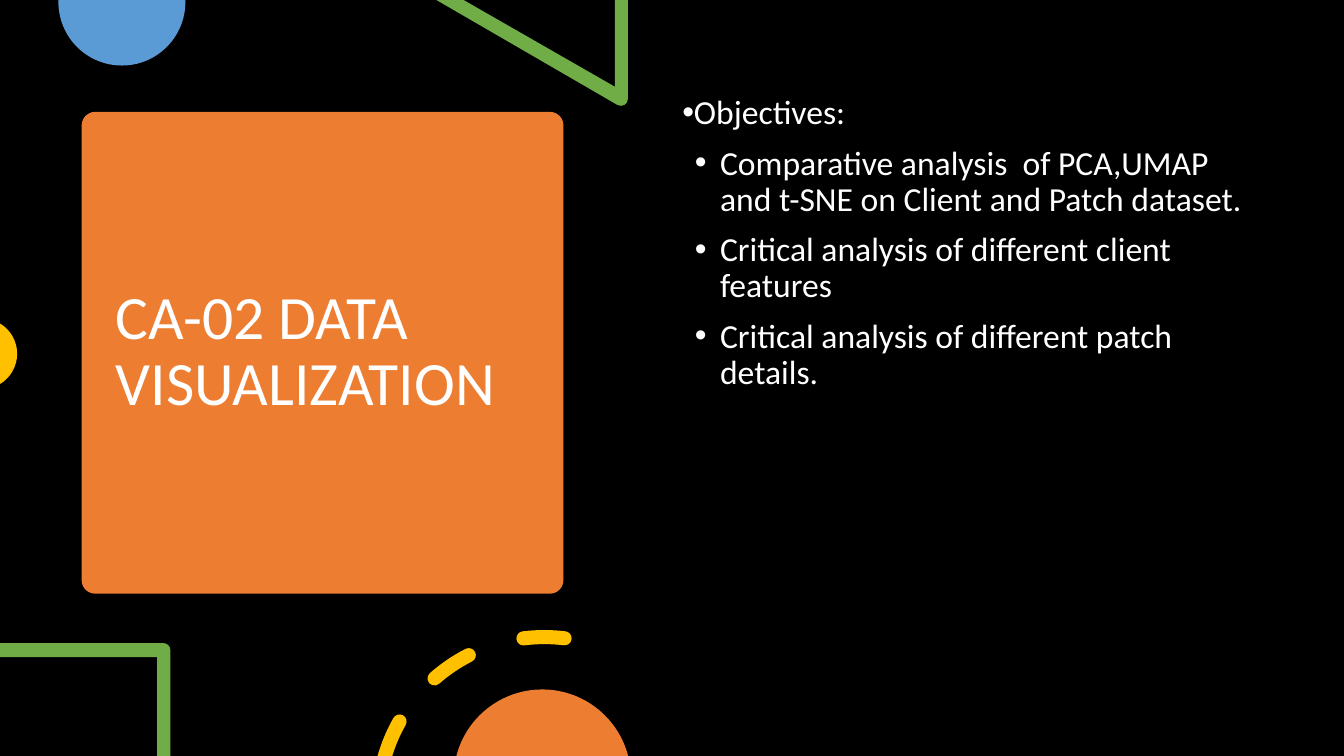
from math import ceil, cos, radians, sin, tan

from lxml import etree
from pptx import Presentation
from pptx.dml.color import RGBColor
from pptx.enum.shapes import MSO_SHAPE
from pptx.enum.text import MSO_ANCHOR
from pptx.oxml.ns import qn
from pptx.util import Inches, Pt

ROUNDED = MSO_SHAPE.ROUNDED_RECTANGLE
MIDDLE = MSO_ANCHOR.MIDDLE

THEME = {
    "font": "Calibri",
    "title_size": Pt(44),
    "body_size": Pt(24),
    "background": RGBColor.from_string("000000"),
    "text": RGBColor.from_string("FFFFFF"),
    "orange": RGBColor.from_string("ED7D31"),
    "blue": RGBColor.from_string("5B9BD5"),
    "green": RGBColor.from_string("70AD47"),
    "yellow": RGBColor.from_string("FFC000"),
}
WIDTH, HEIGHT = 40 / 3, 7.5

prs = Presentation()
prs.slide_width, prs.slide_height = Inches(WIDTH), Inches(HEIGHT)
slide = prs.slides.add_slide(prs.slide_layouts[6])
slide.background.fill.solid()
slide.background.fill.fore_color.rgb = THEME["background"]


def arc(center, radius, start, end):
    """Start point and Bezier segments of an arc, in degrees clockwise from the right."""
    steps = ceil(abs(end - start) / 90)
    sweep = radians(end - start) / steps
    pull = radius * 4 / 3 * tan(sweep / 4)
    segments = [[(center[0] + radius * cos(radians(start)), center[1] + radius * sin(radians(start)))]]
    for step in range(steps):
        a = radians(start) + step * sweep
        b = a + sweep
        x, y = segments[-1][-1]
        end_x, end_y = center[0] + radius * cos(b), center[1] + radius * sin(b)
        segments.append([(x - pull * sin(a), y + pull * cos(a)),
                         (end_x + pull * sin(b), end_y - pull * cos(b)), (end_x, end_y)])
    return segments


def add_outline(color, *contours):
    """Fill closed contours in inches; a segment has one point (line) or three (curve)."""
    contours = [[[(Inches(x), Inches(y)) for x, y in segment] for segment in contour]
                for contour in contours]
    builder = slide.shapes.build_freeform(*contours[0][0][0])
    for number, contour in enumerate(contours):
        if number:
            builder.move_to(*contour[0][0])
        builder.add_line_segments([segment[-1] for segment in contour[1:]], close=True)
    shape = builder.convert_to_shape()
    segments = [segment for contour in contours for segment in contour[1:]]
    for drawn, segment in zip(list(shape._element.iter(qn("a:lnTo"))), segments):
        if len(segment) == 3:
            drawn.tag = qn("a:cubicBezTo")
            for position, (x, y) in enumerate(segment[:2]):
                drawn.insert(position, etree.Element(
                    qn("a:pt"), x=str(x - shape.left), y=str(y - shape.top)))
    shape.shadow.inherit = False
    shape.fill.solid()
    shape.fill.fore_color.rgb = THEME[color]
    shape.line.fill.background()


# Title card
card = slide.shapes.add_shape(ROUNDED, Inches(0.81), Inches(1.11), Inches(4.78), Inches(4.78))
card.adjustments[0] = 0.028
card.shadow.inherit = False
card.fill.solid()
card.fill.fore_color.rgb = THEME["orange"]
card.line.fill.background()

title = slide.shapes.add_textbox(Inches(1.05), Inches(1.22), Inches(4.21), Inches(4.56)).text_frame
title.word_wrap = True
title.vertical_anchor = MIDDLE
title.text = "CA-02 DATA VISUALIZATION"
heading = title.paragraphs[0]
heading.line_spacing = 0.9
heading.font.name = THEME["font"]
heading.font.size = THEME["title_size"]
heading.font.color.rgb = THEME["text"]

# Decorations cut off by the slide edges
add_outline("blue", [[(0.58, 0)], [(1.84, 0)]] + arc((1.21, 0.02), 0.63, 0, 180))
add_outline("green", [[(4.33, 0)], [(4.6, 0)], [(6.1, 0.86)], [(6.1, 0)], [(6.23, 0)]]
            + arc((6.16, 0.98), 0.07, 0, 120))
add_outline("yellow", arc((-0.18, 3.51), 0.35, -59, 59))

# Objectives
objectives = [
    ("Objectives:", 0),
    ("Comparative analysis  of PCA,UMAP and t-SNE on Client and Patch dataset.", 3 / 8),
    ("Critical analysis of different client features", 3 / 8),
    ("Critical analysis of different patch details.", 3 / 8),
]
body = slide.shapes.add_textbox(Inches(6.67), Inches(0.9), Inches(5.75), Inches(5.35)).text_frame
body.word_wrap = True
body.text = "\n".join(text for text, _ in objectives)
for number, (paragraph, (_, indent)) in enumerate(zip(body.paragraphs, objectives)):
    paragraph.line_spacing = 0.9
    paragraph.space_before = Pt(10 if number else 0)
    properties = paragraph._p.get_or_add_pPr()
    properties.set("marL", str(Inches(indent)))
    properties.set("indent", str(Inches(-0.25)))
    etree.SubElement(properties, qn("a:buFont")).set("typeface", "Arial")
    etree.SubElement(properties, qn("a:buChar")).set("char", "•")
    paragraph.font.name = THEME["font"]
    paragraph.font.size = THEME["body_size"]
    paragraph.font.color.rgb = THEME["text"]

# Corner frame
add_outline("green", [[(0, 6.52)], [(0, 6.38)]] + arc((1.62, 6.45), 0.07, -90, 0)
            + [[(1.69, HEIGHT)], [(1.56, HEIGHT)], [(1.56, 6.52)]])

# Dashed ring around the orange disc; the first dash is cut by the slide edge
ring_center, ring_radius, half_width = (5.4, 7.97), 1.65, 0.07
dashes = []
for outer_start, inner_start, end in [(195.9, 197.3, 209.5), (228.7, 228.7, 243), (262.8, 262.8, 277)]:
    middle = arc(ring_center, ring_radius, outer_start, end)
    dash = arc(ring_center, ring_radius + half_width, outer_start, end)
    dash += arc(middle[-1][-1], half_width, end, end + 180)[1:]
    dash += arc(ring_center, ring_radius - half_width, end, inner_start)[1:]
    if outer_start == inner_start:
        dash += arc(middle[0][0], half_width, outer_start + 180, outer_start + 360)[1:]
    dashes.append(dash)
add_outline("yellow", *dashes)
add_outline("orange", arc((5.38, 7.72), 0.88, 194.5, 345.5))

prs.save("out.pptx")
